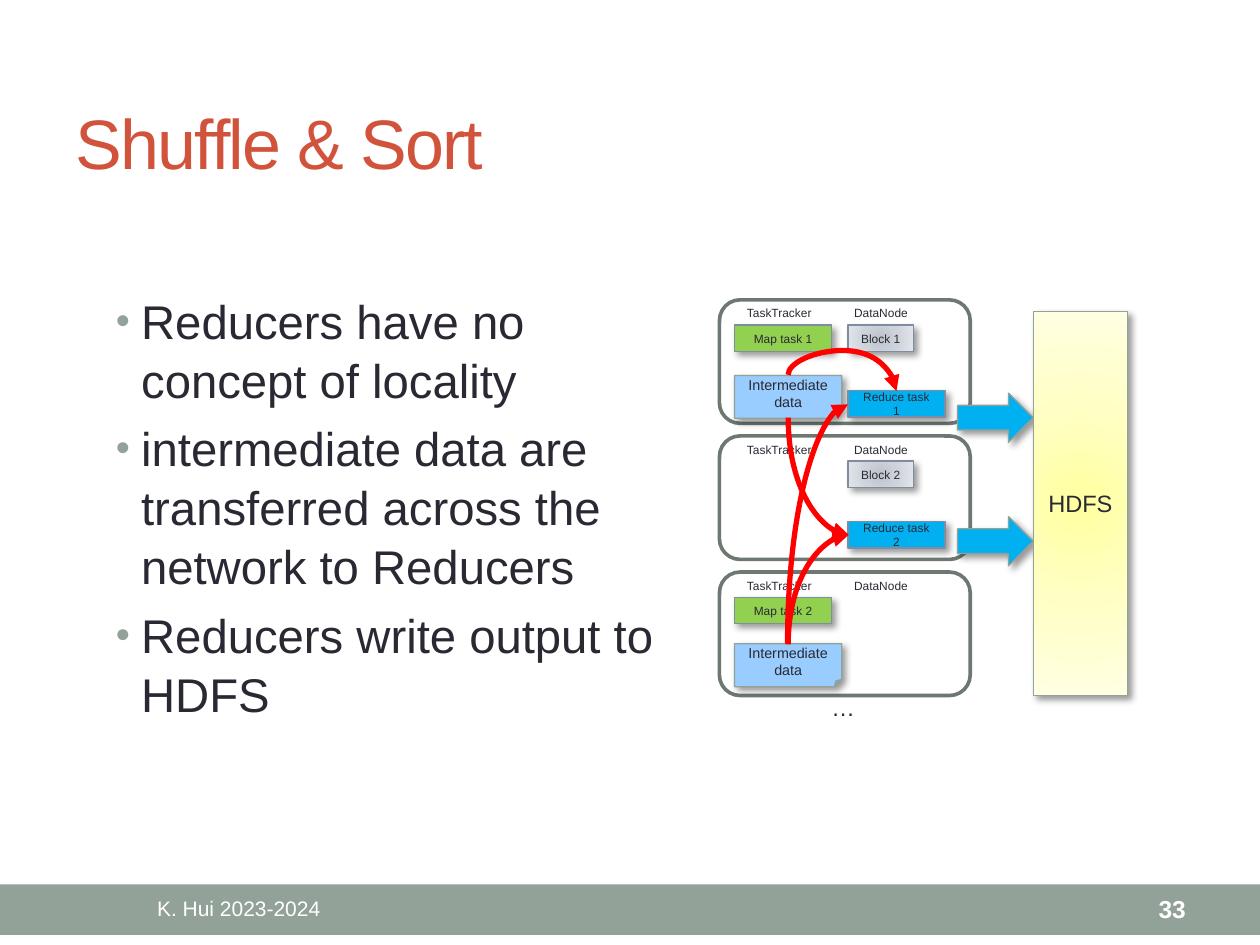
from lxml import etree
from pptx import Presentation
from pptx.dml.color import RGBColor
from pptx.enum.shapes import MSO_CONNECTOR, MSO_SHAPE
from pptx.enum.text import MSO_ANCHOR, MSO_AUTO_SIZE, PP_ALIGN
from pptx.oxml import parse_xml
from pptx.oxml.ns import qn
from pptx.util import Inches, Pt

RECT, ROUND = MSO_SHAPE.RECTANGLE, MSO_SHAPE.ROUNDED_RECTANGLE
NOTE, ARROW = MSO_SHAPE.FOLDED_CORNER, MSO_SHAPE.RIGHT_ARROW
CURVE = MSO_CONNECTOR.CURVE
LEFT, MID, RIGHT = PP_ALIGN.LEFT, PP_ALIGN.CENTER, PP_ALIGN.RIGHT
TOP, CENTER = MSO_ANCHOR.TOP, MSO_ANCHOR.MIDDLE
FIXED = MSO_AUTO_SIZE.NONE
NS = 'xmlns:a="http://schemas.openxmlformats.org/drawingml/2006/main"'
INK, SAGE, SLATE, WHITE = "292934", "93A299", "808DA0", "FFFFFF"
GREEN, BLUE, SKY = "92D050", "00B0F0", "99CCFF"
STEEL = (100, [(0, "BEC3CB"), (45, "CDD2DB"), (100, "E3E6EB")])
CREAM = (50, [(0, "FFFFA0"), (50, "FFFFC5"), (100, "FFFFE3")])


def rgb(code):
    return RGBColor.from_string(code)


def write(frame, lines, size, hue=INK, align=LEFT, anchor=CENTER, wrap=True, bold=False):
    form = {"word_wrap": wrap, "auto_size": FIXED, "vertical_anchor": anchor}
    for name, value in form.items():
        setattr(frame, name, value)
    frame.text = "\n".join(lines)
    look = {"name": "Arial", "size": Pt(size), "bold": bold}
    for para in frame.paragraphs:
        para.alignment = align
        font = para.runs[0].font
        for name, value in look.items():
            setattr(font, name, value)
        font.color.rgb = rgb(hue)


deck = Presentation()
deck.slide_width, deck.slide_height = Inches(10), Inches(7.5)
slide = deck.slides.add_slide(deck.slide_layouts[1])
shapes = slide.shapes
title, body = slide.placeholders

# Title and list
for holder, area in ((title, (0.5, 0.58, 9, 1.08)), (body, (0.82, 2.25, 4.66, 4.37))):
    holder.left, holder.top, holder.width, holder.height = map(Inches, area)
write(title.text_frame, ["Shuffle & Sort"], 40, "D2533C")
title.text_frame.paragraphs[0].runs[0].font._element.set("spc", "-100")
write(body.text_frame, [
    "Reducers have no concept of locality",
    "intermediate data are transferred across the network to Reducers",
    "Reducers write output to HDFS",
], 27, anchor=TOP)
for spot, para in enumerate(body.text_frame.paragraphs):
    props = para._p.get_or_add_pPr()
    props.set("marL", str(Inches(0.2)))
    props.set("indent", str(Inches(-0.2)))
    for mark in (f'<a:buClr {NS}><a:srgbClr val="{SAGE}"/></a:buClr>',
                 f'<a:buSzPct {NS} val="85000"/>',
                 f'<a:buFont {NS} typeface="Arial"/>',
                 f'<a:buChar {NS} char="•"/>'):
        props.append(parse_xml(mark))
    para.line_spacing = 1.04
    para.space_before = Pt(5.4 if spot else 0)

# Blocks: kind, area, fill, line, line width, text, text size
blocks = [(RECT, (0, 7.02, 10, 0.4), SAGE, None, 0, "", 0)]
rows = [2.38 + 1.08 * n for n in range(3)]
for y in rows:
    blocks.append((ROUND, (5.71, y, 1.99, 0.98), None, "6D7871", 2.08, "", 0))
for n in range(2):
    blocks.append((RECT, (6.73, rows[n] + 0.2, 0.52, 0.21), STEEL, SLATE, 0.75,
                   f"Block {n + 1}", 6.8))
    blocks.append((RECT, (5.83, rows[2 * n] + 0.2, 0.77, 0.21), GREEN, SLATE, 0.75,
                   f"Map task {n + 1}", 6.8))
    blocks.append((NOTE, (5.83, (2.98, 5.11)[n], 0.85, 0.34), SKY, SAGE, 0.75,
                   "Intermediate data", 8.2))
    blocks.append((RECT, (6.73, (3.1, 4.14)[n], 0.77, 0.21), BLUE, SLATE, 0.75,
                   f"Reduce task {n + 1}", 6.8))
    blocks.append((ARROW, (7.6, 3.12 + 0.98 * n, 0.6, 0.39), BLUE, SAGE, 0.75, "", 0))
blocks.append((RECT, (8.2, 2.47, 0.75, 3.05), CREAM, SAGE, 0.75, "HDFS", 13.5))

for kind, area, fill, edge, width, text, size in blocks:
    block = shapes.add_shape(kind, *map(Inches, area))
    block.shadow.inherit = False
    props = block._element.spPr
    if edge:
        block.line.color.rgb = rgb(edge)
        block.line.width = Pt(width)
    else:
        block.line.fill.background()
    if fill is None:
        block.fill.background()
    elif isinstance(fill, str):
        block.fill.solid()
        block.fill.fore_color.rgb = rgb(fill)
    else:
        side, stops = fill
        tones = "".join(f'<a:gs pos="{at * 1000}"><a:srgbClr val="{hue}"/></a:gs>'
                        for at, hue in stops)
        sides = " ".join(f'{edge_name}="{side * 1000}"' for edge_name in "ltrb")
        props.find(qn("a:prstGeom")).addnext(parse_xml(
            f'<a:gradFill {NS} rotWithShape="1"><a:gsLst>{tones}</a:gsLst>'
            f'<a:path path="circle"><a:fillToRect {sides}/></a:path></a:gradFill>'))
    if fill and edge:
        props.find(qn("a:effectLst")).append(parse_xml(
            f'<a:outerShdw {NS} blurRad="{Pt(4)}" dist="{Pt(3)}" dir="2700000" '
            'algn="tl" rotWithShape="0"><a:srgbClr val="000000">'
            '<a:alpha val="40000"/></a:srgbClr></a:outerShdw>'))
    if text:
        write(block.text_frame, [text], size, align=MID)

# Labels and footer
labels = [
    ((6.5, 5.45, 0.39, 0.33), "…", 13.5, {"anchor": TOP, "wrap": False}),
    ((0.5, 7.03, 2.79, 0.36), "K. Hui 2023-2024", 12, {"hue": WHITE, "align": MID}),
    ((8.34, 7.03, 1.17, 0.36), "33", 14, {"hue": WHITE, "align": RIGHT, "bold": True}),
]
for y in rows:
    for x, wide, text in ((5.83, 0.73, "TaskTracker"), (6.68, 0.63, "DataNode")):
        labels.append(((x, y, wide, 0.21), text, 6.8, {"anchor": TOP, "wrap": False}))
for area, text, size, form in labels:
    box = shapes.add_textbox(*map(Inches, area))
    write(box.text_frame, [text], size, **form)

# Shuffle curves: unturned frame, turn, flips, preset, bend
curves = [
    ((6.06, 4.44, 0.87, 0.48), 90, ("flipH", "flipV"), "curvedConnector2", None),
    ((5.54, 3.92, 1.9, 0.48), 90, ("flipH", "flipV"), "curvedConnector2", None),
    ((6.62, 2.61, 0.13, 0.86), 270, ("flipH",), "curvedConnector3", -148800),
    ((6.03, 3.54, 0.93, 0.48), 270, ("flipH",), "curvedConnector2", None),
]
for (x, y, wide, high), turn, flips, preset, bend in curves:
    curve = shapes.add_connector(CURVE, *map(Inches, (x, y, x + wide, y + high)))
    curve.line.color.rgb = rgb("FF0000")
    curve.line.width = Pt(3)
    props = curve._element.spPr
    frame = props.find(qn("a:xfrm"))
    frame.set("rot", str(turn * 60000))
    for flip in flips:
        frame.set(flip, "1")
    shape = props.find(qn("a:prstGeom"))
    shape.set("prst", preset)
    if bend:
        guide = etree.SubElement(shape.find(qn("a:avLst")), qn("a:gd"))
        guide.set("name", "adj1")
        guide.set("fmla", f"val {bend}")
    etree.SubElement(props.find(qn("a:ln")), qn("a:tailEnd")).set("type", "triangle")
    etree.SubElement(props, qn("a:effectLst"))

deck.save("out.pptx")
